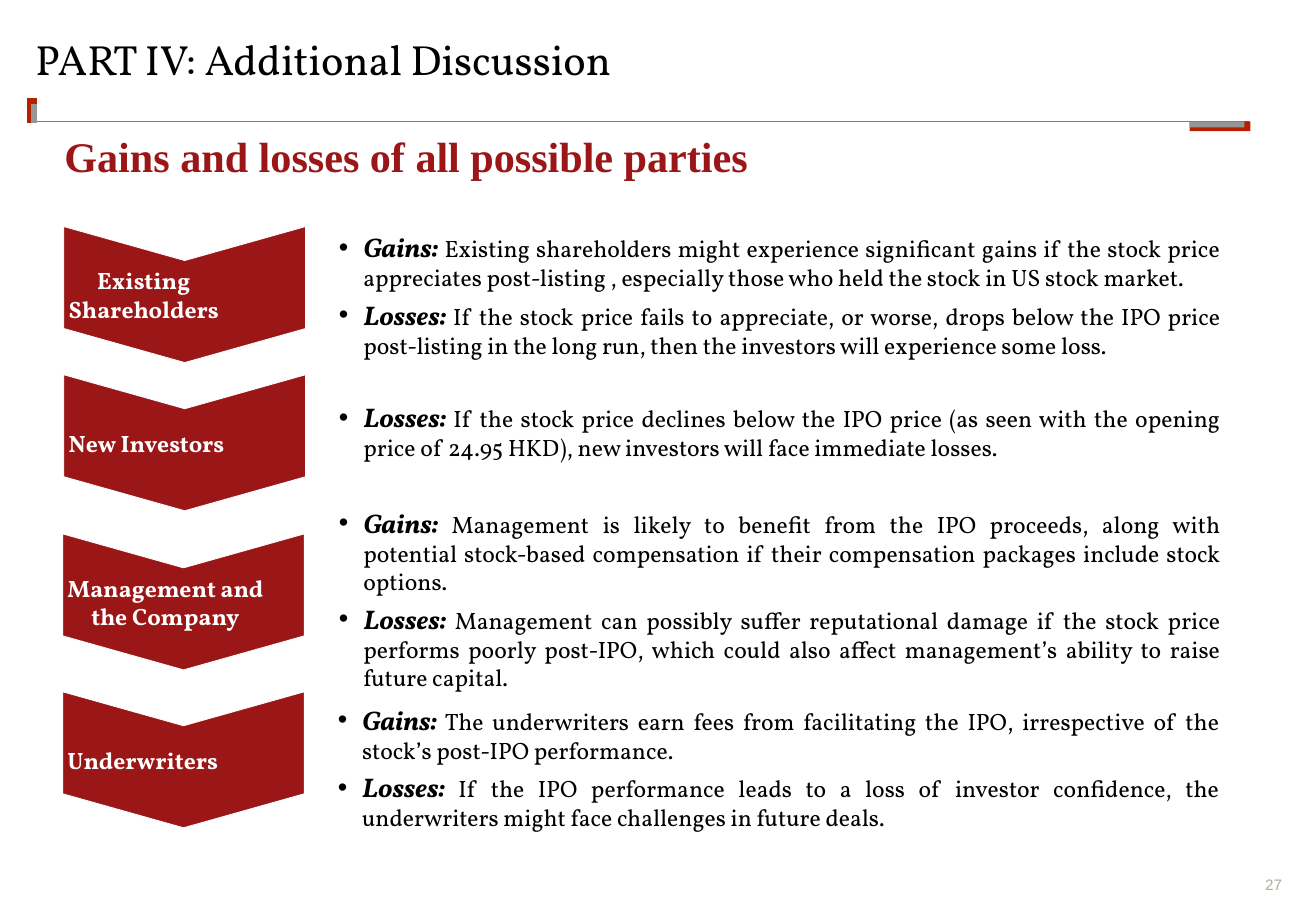
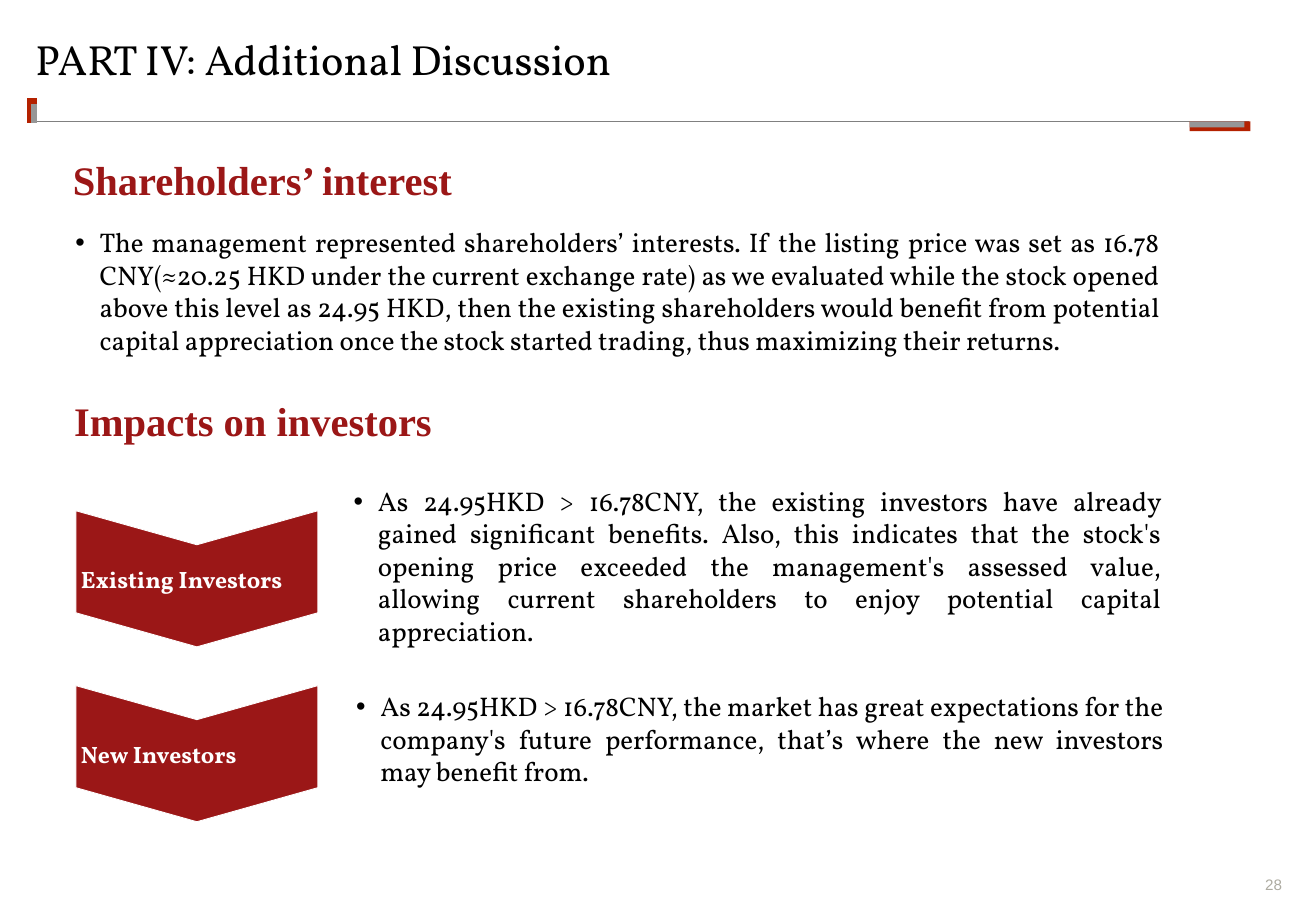
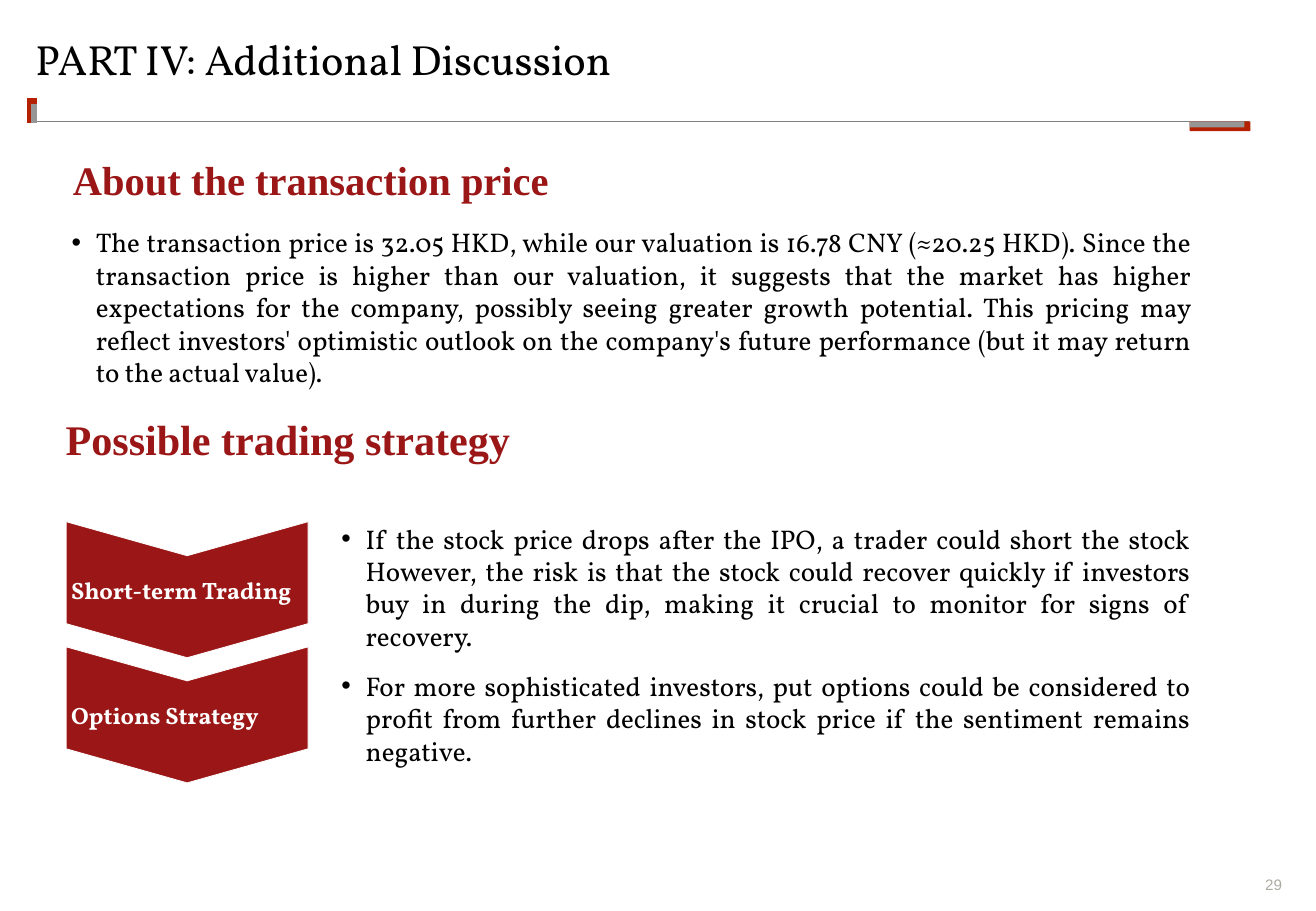
"""Build three discussion slides on the parties affected by a listing."""
from lxml import etree
from pptx import Presentation
from pptx.dml.color import RGBColor
from pptx.enum.shapes import MSO_CONNECTOR, MSO_SHAPE
from pptx.enum.text import MSO_ANCHOR, PP_ALIGN
from pptx.oxml.ns import qn
from pptx.util import Inches, Pt

STRAIGHT = MSO_CONNECTOR.STRAIGHT
RECTANGLE, CHEVRON = MSO_SHAPE.RECTANGLE, MSO_SHAPE.CHEVRON
TOP, MIDDLE, BOTTOM = MSO_ANCHOR.TOP, MSO_ANCHOR.MIDDLE, MSO_ANCHOR.BOTTOM
LEFT, CENTER, RIGHT, JUSTIFY = PP_ALIGN.LEFT, PP_ALIGN.CENTER, PP_ALIGN.RIGHT, PP_ALIGN.JUSTIFY

THEME = {
    "crimson": RGBColor.from_string("9B1717"),
    "red": RGBColor.from_string("B42100"),
    "gray": RGBColor.from_string("969696"),
    "rule": RGBColor.from_string("808080"),
    "pale": RGBColor.from_string("ADABA1"),
    "black": RGBColor.from_string("000000"),
    "white": RGBColor.from_string("FFFFFF"),
    "title": {"name": "Vollkorn", "size": Pt(25), "bold": False},
    "heading": {"name": "Times New Roman", "size": Pt(25), "bold": True},
    "subheading": {"name": "Times New Roman", "size": Pt(24), "bold": True},
    "label": {"name": "Vollkorn", "size": Pt(14), "bold": True},
    "lead": {"name": "Vollkorn", "size": Pt(16), "bold": True, "italic": True},
    "detail": {"name": "Vollkorn", "size": Pt(14), "bold": False},
    "body": {"name": "Vollkorn", "size": Pt(16), "bold": False},
    "number": {"name": "Arial", "size": Pt(9), "bold": False},
}
HEADING_LAYOUT = {"alignment": LEFT, "line_spacing": 0.9}
CHEVRON_WIDTH, CHEVRON_HEIGHT = 1.12, 1.99
CORNER_LINES = [
    ((0.3, 1), (10.28, 1), "rule", 1),
    ((0.26, 1.01), (0.26, 0.81), "red", 6),
    ((0.28, 1.01), (0.28, 0.86), "gray", 3),
]
CORNER_BARS = [((9.79, 1, 0.5, 0.08), "red"), ((9.79, 1, 0.45, 0.05), "gray")]

SLIDES = [
    {
        "headings": [(0.53, 1.12, "heading", "Gains and losses of all possible parties")],
        "chevrons": [
            (0.96, 1.43, "Existing Shareholders"),
            (0.96, 2.65, "New Investors"),
            (0.95, 3.96, "Management and the Company"),
            (0.95, 5.26, "Underwriters"),
        ],
        "bullets": [
            ((2.75, 1.86, 7.34, 1.15), [
                [("Gains:", "lead"), (" Existing shareholders might experience significant gains if the stock price appreciates post-listing , especially those who held the stock in US stock market.", "detail")],
                [("Losses:", "lead"), (" If the stock price fails to appreciate, or worse, drops below the IPO price post-listing in the long run, then the investors will experience some loss.", "detail")],
            ]),
            ((2.75, 3.26, 7.34, 0.58), [
                [("Losses:", "lead"), (" If the stock price declines below the IPO price (as seen with the opening price of 24.95 HKD), new investors will face immediate losses.", "detail")],
            ]),
            ((2.75, 4.13, 7.34, 1.62), [
                [("Gains:", "lead"), (" Management is likely to benefit from the IPO proceeds, along with potential stock-based compensation if their compensation packages include stock options.", "detail")],
                [("Losses:", "lead"), (" Management can possibly suffer reputational damage if the stock price performs poorly post-IPO, which could also affect management’s ability to raise future capital.", "detail")],
            ]),
            ((2.74, 5.75, 7.34, 1.15), [
                [("Gains:", "lead"), (" The underwriters earn fees from facilitating the IPO, irrespective of the stock’s post-IPO performance.", "detail")],
                [("Losses:", "lead"), (" If the IPO performance leads to a loss of investor confidence, the underwriters might face challenges in future deals.", "detail")],
            ]),
        ],
    },
    {
        "headings": [
            (0.6, 1.32, "subheading", "Shareholders’ interest"),
            (0.61, 3.31, "subheading", "Impacts on investors"),
        ],
        "chevrons": [(1.06, 3.77, "Existing Investors"), (1.06, 5.21, "New Investors")],
        "bullets": [
            ((0.58, 1.82, 9.01, 1.43), [[("The management represented shareholders’ interests. If the listing price was set as 16.78 CNY(≈20.25 HKD under the current exchange rate) as we evaluated while the stock opened above this level as 24.95 HKD, then the existing shareholders would benefit from potential capital appreciation once the stock started trading, thus maximizing their returns.", "body")]]),
            ((2.87, 3.95, 6.73, 1.43), [[("As 24.95HKD > 16.78CNY, the existing investors have already gained significant benefits. Also, this indicates that the stock's opening price exceeded the management's assessed value, allowing current shareholders to enjoy potential capital appreciation.", "body")]]),
            ((2.89, 5.64, 6.73, 0.89), [[("As 24.95HKD > 16.78CNY, the market has great expectations for the company's future performance, that’s where the new investors may benefit from.", "body")]]),
        ],
    },
    {
        "headings": [
            (0.6, 1.32, "subheading", "About the transaction price"),
            (0.54, 3.45, "heading", "Possible trading strategy"),
        ],
        "chevrons": [(0.98, 3.86, "Short-term Trading"), (0.98, 4.89, "Options Strategy")],
        "bullets": [
            ((0.55, 1.82, 9.3, 1.43), [[("The transaction price is 32.05 HKD, while our valuation is 16.78 CNY (≈20.25 HKD). Since the transaction price is higher than our valuation, it suggests that the market has higher expectations for the company, possibly seeing greater growth potential. This pricing may reflect investors' optimistic outlook on the company's future performance (but it may return to the actual value).", "body")]]),
            ((2.77, 4.26, 7.07, 1.16), [[("If the stock price drops after the IPO, a trader could short the stock However, the risk is that the stock could recover quickly if investors buy in during the dip, making it crucial to monitor for signs of recovery.", "body")]]),
            ((2.77, 5.47, 7.07, 0.89), [[("For more sophisticated investors, put options could be considered to profit from further declines in stock price if the sentiment remains negative.", "body")]]),
        ],
    },
]


def write_text(shape, paragraphs, color, layout, inset=0, anchor=TOP, bulleted=False):
    """Fill a shape with paragraphs, each a list of (text, style) runs."""
    frame = shape.text_frame
    frame.word_wrap = True
    frame.vertical_anchor = anchor
    for side in ("left", "top", "right", "bottom"):
        setattr(frame, f"margin_{side}", Inches(inset))
    for index, runs in enumerate(paragraphs):
        paragraph = frame.add_paragraph() if index else frame.paragraphs[0]
        if bulleted:
            properties = paragraph._p.get_or_add_pPr()
            properties.set("marL", str(Inches(0.2)))
            properties.set("indent", str(Inches(-0.2)))
            etree.SubElement(properties, qn("a:buFont"), typeface="Arial")
            etree.SubElement(properties, qn("a:buChar"), char="•")
        for name, value in layout.items():
            setattr(paragraph, name, value)
        if index:
            paragraph.space_before = Pt(4)
        for text, style in runs:
            run = paragraph.add_run()
            run.text = text
            run.font.color.rgb = THEME[color]
            for name, value in THEME[style].items():
                setattr(run.font, name, value)


def add_filled_shape(slide, kind, box, color):
    """Add a flat preset shape without a line."""
    shape = slide.shapes.add_shape(kind, *map(Inches, box))
    shape.shadow.inherit = False
    shape.fill.solid()
    shape.fill.fore_color.rgb = THEME[color]
    shape.line.fill.background()
    return shape


presentation = Presentation()
presentation.slide_width, presentation.slide_height = Inches(10.83), Inches(7.5)

for page, content in enumerate(SLIDES, start=27):
    slide = presentation.slides.add_slide(presentation.slide_layouts[6])

    for start, end, color, width in CORNER_LINES:
        connector = slide.shapes.add_connector(STRAIGHT, *map(Inches, start + end))
        connector.line.color.rgb = THEME[color]
        connector.line.width = Pt(width)
        etree.SubElement(connector._element.spPr, qn("a:effectLst"))
    for box, color in CORNER_BARS:
        add_filled_shape(slide, RECTANGLE, box, color)

    number = slide.shapes.add_textbox(*map(Inches, (10.24, 7.21, 0.31, 0.15)))
    write_text(number, [[(str(page), "number")]], "pale", {"alignment": RIGHT}, anchor=BOTTOM)
    title = slide.shapes.add_textbox(*map(Inches, (0.29, 0.32, 10.25, 0.67)))
    write_text(title, [[("PART IV: Additional Discussion", "title")]], "black", HEADING_LAYOUT)

    for left, top, style, text in content["headings"]:
        heading = slide.shapes.add_textbox(*map(Inches, (left, top, 10, 0.67)))
        write_text(heading, [[(text, style)]], "crimson", HEADING_LAYOUT)

    for left, top, text in content["chevrons"]:
        box = (left, top, CHEVRON_WIDTH, CHEVRON_HEIGHT)
        chevron = add_filled_shape(slide, CHEVRON, box, "crimson")
        chevron.rotation = 90
        chevron.adjustments[0] = 0.25
        chevron.line.color.rgb = THEME["white"]
        chevron.line.width = Pt(0.5)
        write_text(chevron, [[(text, "label")]], "white", {"alignment": CENTER}, 0.04, MIDDLE)
        body = chevron.text_frame._txBody.bodyPr
        body.set("rot", "10800000")
        body.set("vert", "eaVert")

    for box, paragraphs in content["bullets"]:
        bullets = slide.shapes.add_textbox(*map(Inches, box))
        write_text(bullets, paragraphs, "black", {"alignment": JUSTIFY}, 0.04, bulleted=True)

presentation.save("out.pptx")
